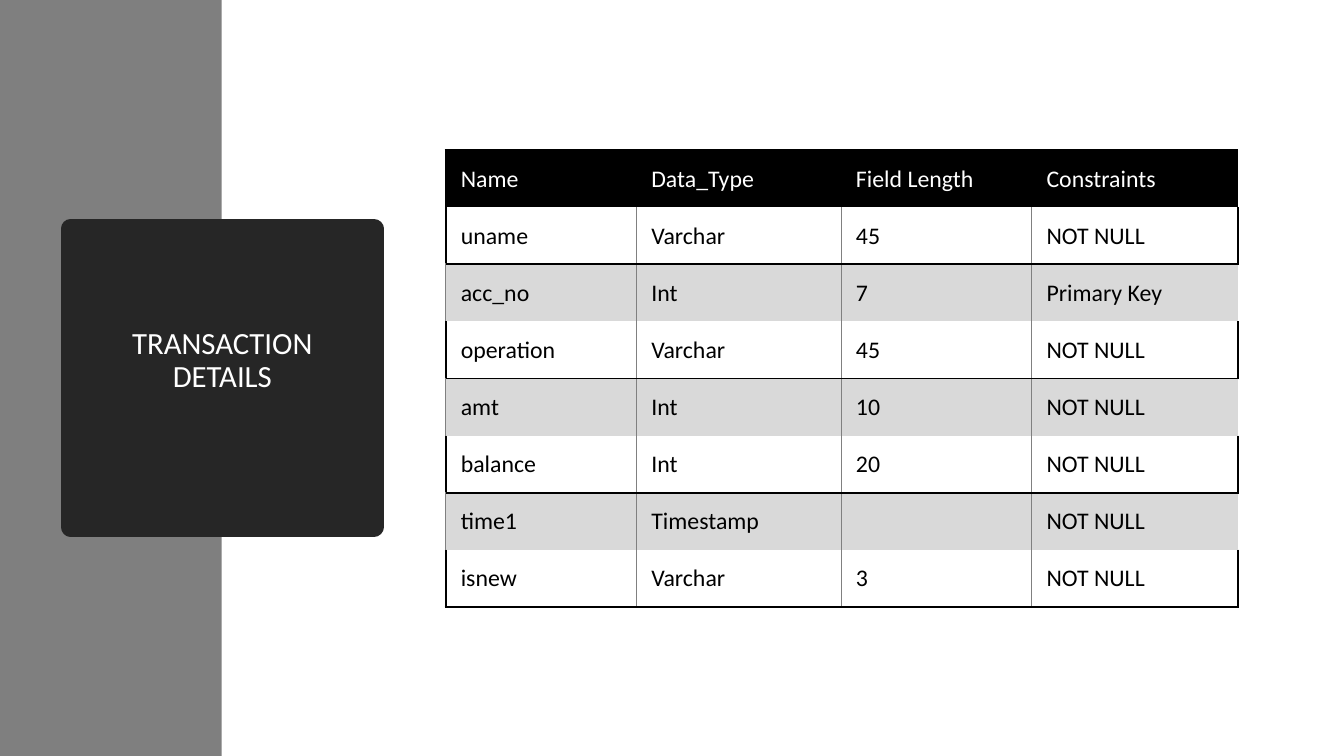
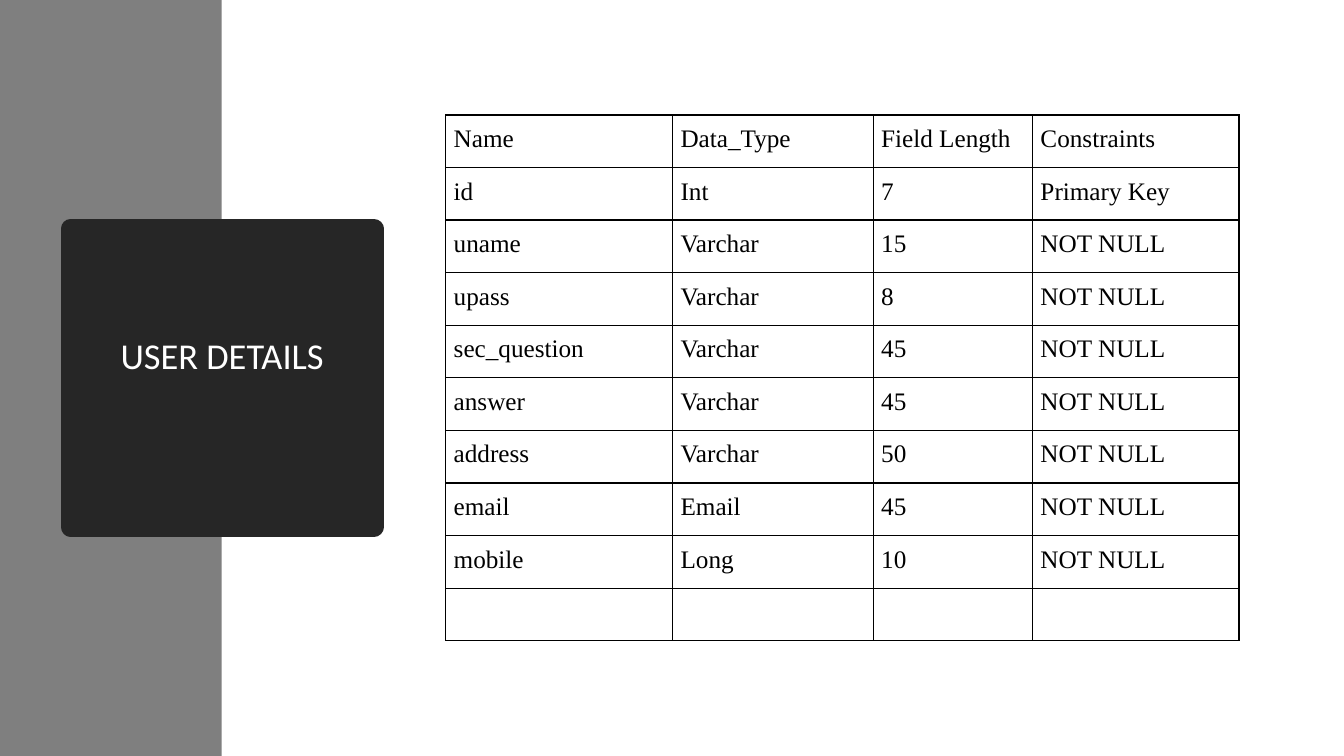
from lxml import etree
from pptx import Presentation
from pptx.dml.color import RGBColor
from pptx.enum import shapes, text
from pptx.oxml.ns import qn
from pptx.util import Inches, Pt

BLACK, WHITE, GREY = "000000", "FFFFFF", "808080"
BAND, TITLE_FILL, STRIPE = "7F7F7F", "262626", "D9D9D9"
TITLE_FONT = "Calibri"
HEADINGS = ("Name", "Data_Type", "Field Length", "Constraints")
THICK, THIN, GRID = (BLACK, 1.5), (GREY, 0.5), (BLACK, 1)

TRANSACTION_ROWS = [
    HEADINGS,
    ("uname", "Varchar", "45", "NOT NULL"),
    ("acc_no", "Int", "7", "Primary Key"),
    ("operation", "Varchar", "45", "NOT NULL"),
    ("amt", "Int", "10", "NOT NULL"),
    ("balance", "Int", "20", "NOT NULL"),
    ("time1", "Timestamp", "", "NOT NULL"),
    ("isnew", "Varchar", "3", "NOT NULL"),
]
USER_ROWS = [
    HEADINGS,
    ("id", "Int", "7", "Primary Key"),
    ("uname", "Varchar", "15", "NOT NULL"),
    ("upass", "Varchar", "8", "NOT NULL"),
    ("sec_question", "Varchar", "45", "NOT NULL"),
    ("answer", "Varchar", "45", "NOT NULL"),
    ("address", "Varchar", "50", "NOT NULL"),
    ("email", "Email", "45", "NOT NULL"),
    ("mobile", "Long", "10", "NOT NULL"),
    ("", "", "", ""),
]


def color(value):
    """Turn a hex string into a colour."""
    return RGBColor.from_string(value)


def add_span(para, words, font, size, ink):
    """Add one styled run to a paragraph."""
    span = para.add_run()
    span.text = words
    span.font.name = font
    span.font.size = Pt(size)
    span.font.color.rgb = color(ink)


def add_block(page, left, top, width, height, fill):
    """Add a plain filled rectangle."""
    block = page.shapes.add_shape(
        shapes.MSO_SHAPE.RECTANGLE,
        Inches(left), Inches(top), Inches(width), Inches(height))
    block.shadow.inherit = False
    block.fill.solid()
    block.fill.fore_color.rgb = color(fill)
    block.line.fill.background()
    return block


def add_title(page, words, size):
    """Add the dark title box, its text a little above the middle."""
    box = add_block(page, 0.7, 2.27, 3.01, 2.96, TITLE_FILL)
    box.line.color.rgb = color(TITLE_FILL)
    box.line.width = Pt(13.75)
    etree.SubElement(box.line._get_or_add_ln(), qn("a:round"))
    frame = box.text_frame
    frame.word_wrap = True
    frame.vertical_anchor = text.MSO_ANCHOR.MIDDLE
    frame.margin_left = frame.margin_right = Inches(0.4)
    frame.margin_bottom = Inches(0.05) + Pt(size * 1.1)
    para = frame.paragraphs[0]
    para.alignment = text.PP_ALIGN.CENTER
    para.line_spacing = 0.9
    add_span(para, words, TITLE_FONT, size, WHITE)


def set_borders(cell, borders):
    """Draw the left, right, top and bottom borders of a cell."""
    props = cell._tc.get_or_add_tcPr()
    for side, border in zip("LRTB", borders):
        line = etree.SubElement(props, qn(f"a:ln{side}"))
        if border is None:
            etree.SubElement(line, qn("a:noFill"))
            continue
        ink, width = border
        line.set("w", str(Pt(width)))
        fill = etree.SubElement(line, qn("a:solidFill"))
        etree.SubElement(fill, qn("a:srgbClr"), val=ink)


def striped_style(row, is_first, is_last):
    """Give fill, ink, anchor and borders of a cell in the striped table."""
    if row == 0:
        right = None if is_last else THICK
        return BLACK, WHITE, text.MSO_ANCHOR.MIDDLE, (THICK, right, THICK, None)
    if row % 2:
        left = THICK if is_first else THIN
        right = THICK if is_last else THIN
        return None, BLACK, text.MSO_ANCHOR.TOP, (left, right, None, THICK)
    right = None if is_last else THIN
    return STRIPE, BLACK, text.MSO_ANCHOR.TOP, (THIN, right, THICK, None)


def grid_style(row, is_first, is_last):
    """Give fill, ink, anchor and borders of a cell in the plain grid."""
    return None, BLACK, text.MSO_ANCHOR.TOP, (GRID,) * 4


def add_field_table(page, rows, top, height, widths, font, size, margins, style):
    """Add a table of database fields with equal row heights."""
    table = page.shapes.add_table(
        len(rows), len(widths), Inches(4.42), Inches(top),
        Inches(sum(widths)), Inches(height)).table
    table.first_row = table.horz_banding = False
    for column, width in zip(table.columns, widths):
        column.width = Inches(width)
    left, right, vertical = (Inches(margin) for margin in margins)
    for i, row in enumerate(rows):
        for j, words in enumerate(row):
            cell = table.cell(i, j)
            fill, ink, anchor, borders = style(i, j == 0, j == len(row) - 1)
            set_borders(cell, borders)
            if fill:
                cell.fill.solid()
                cell.fill.fore_color.rgb = color(fill)
            else:
                cell.fill.background()
            cell.vertical_anchor = anchor
            cell.margin_left, cell.margin_right = left, right
            cell.margin_top = cell.margin_bottom = vertical
            para = cell.text_frame.paragraphs[0]
            para.line_spacing = 1.07
            para.space_after = Pt(8)
            if words:
                add_span(para, words, font, size, ink)
            else:
                para.font.size = Pt(size)


def add_page(deck, title, title_size):
    """Add a slide with the side band and title box."""
    page = deck.slides.add_slide(deck.slide_layouts[6])
    add_block(page, 0, 0, 2.2, 7.5, BAND)
    add_title(page, title, title_size)
    return page


def main():
    """Build and save the deck."""
    deck = Presentation()
    deck.slide_width, deck.slide_height = Inches(13.33), Inches(7.5)
    page = add_page(deck, "TRANSACTION DETAILS", 22)
    add_field_table(page, TRANSACTION_ROWS, 1.49, 4.53, (1.89, 2.03, 1.89, 2.05),
                    "Calibri", 17, (0.15, 0.08, 0.12), striped_style)
    page = add_page(deck, "USER DETAILS", 26)
    add_field_table(page, USER_ROWS, 1.14, 5.22, (2.25, 1.99, 1.58, 2.05),
                    "Times New Roman", 18, (0.08, 0.08, 0.08), grid_style)
    deck.save("out.pptx")


if __name__ == "__main__":
    main()
